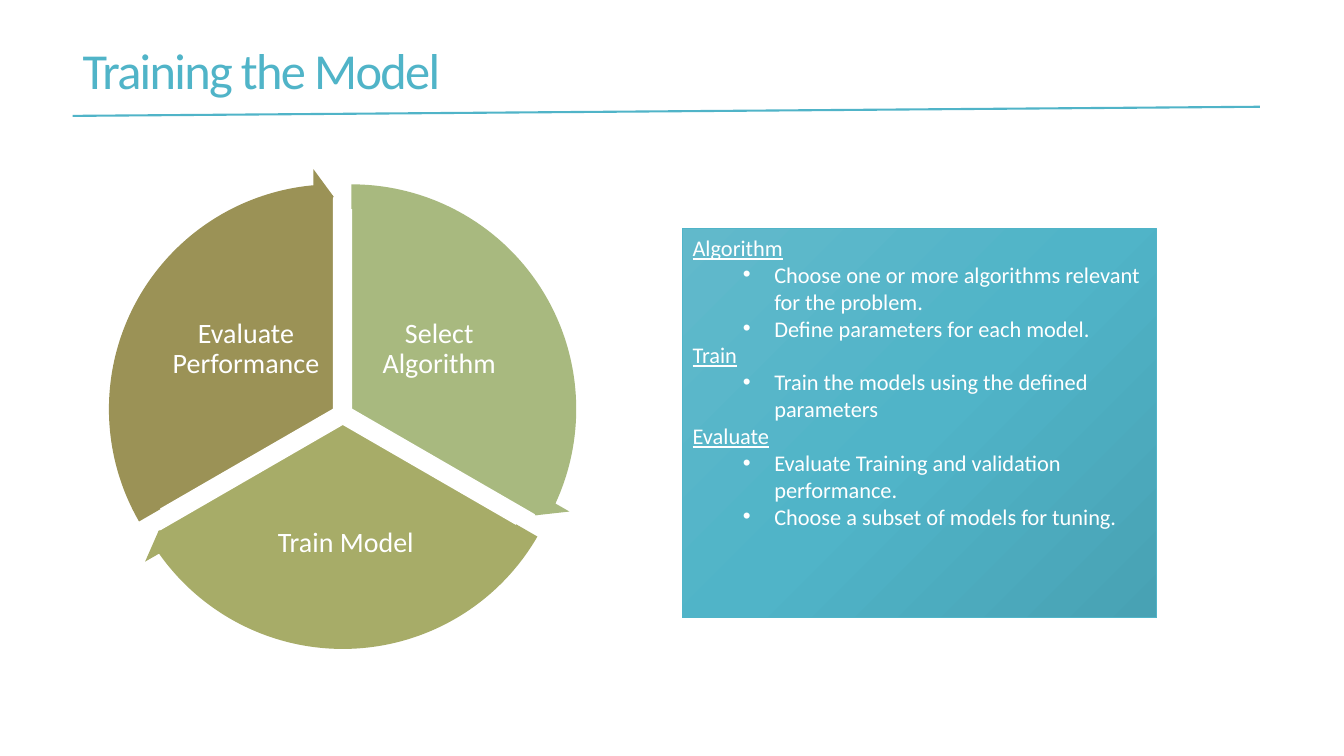
"""Build the slide on training the model: a three-step cycle beside a list of notes."""
from copy import deepcopy
from dataclasses import dataclass

from lxml.etree import SubElement
from pptx import Presentation
from pptx.dml.color import RGBColor
from pptx.enum.shapes import MSO_CONNECTOR, MSO_SHAPE
from pptx.enum.text import MSO_ANCHOR, MSO_AUTO_SIZE, PP_ALIGN
from pptx.oxml import parse_xml
from pptx.oxml.ns import nsdecls, qn
from pptx.util import Cm, Pt

COLORS = {
    "accent": "50B4C8",
    "accent_light": "61B9CB",
    "accent_dark": "48A2B4",
    "white": "FFFFFF",
    "select": "A8B97F",
    "train": "A7AC68",
    "evaluate": "9B9256",
}
FONT = "Calibri"
PIE_SIZE = 10.82
ARROW_MARGIN = 0.66
ARROW_THICKNESS = 0.051
ARROW_HEAD_ANGLE = 3.275
ARROW_HEAD_WIDTH = 0.059


@dataclass(frozen=True)
class Step:
    label: str
    color: str
    left: float
    top: float
    start: float
    end: float
    label_box: tuple[float, float, float, float]


@dataclass(frozen=True)
class Topic:
    heading: str
    points: tuple[str, ...]


STEPS = (
    Step("Select Algorithm", "select", 3.45, 4.9, 162, 18, (9.14, 7.19, 3.86, 3.23)),
    Step("Train Model", "train", 3.23, 5.28, 18, 90, (5.82, 12.29, 5.79, 2.82)),
    Step("Evaluate Performance", "evaluate", 3.0, 4.9, 90, 162, (4.27, 7.19, 3.86, 3.23)),
)
TOPICS = (
    Topic("Algorithm", (
        "Choose one or more algorithms relevant for the problem.",
        "Define parameters for each model.",
    )),
    Topic("Train", ("Train the models using the defined parameters",)),
    Topic("Evaluate", (
        "Evaluate Training and validation performance.",
        "Choose a subset of models for tuning.",
    )),
)
GRADIENT = ((0, "accent_light"), (0.5, "accent"), (1, "accent_dark"))


def rgb(name: str) -> RGBColor:
    """Return the named colour."""
    return RGBColor.from_string(COLORS[name])


def place(shape, left: float, top: float, width: float, height: float) -> None:
    """Move and size a shape, in centimetres."""
    shape.left, shape.top = Cm(left), Cm(top)
    shape.width, shape.height = Cm(width), Cm(height)


def style_font(para, size: float, color: str) -> None:
    """Set the font of a whole paragraph."""
    para.font.name = FONT
    para.font.size = Pt(size)
    para.font.color.rgb = rgb(color)


def fill_title(title) -> None:
    """Write and format the slide title."""
    place(title, 1.83, 0.61, 29.92, 2.51)
    frame = title.text_frame
    frame.text = "Training the Model"
    frame.word_wrap = True
    frame.auto_size = MSO_AUTO_SIZE.NONE
    frame.vertical_anchor = MSO_ANCHOR.MIDDLE
    para = frame.paragraphs[0]
    para.alignment = PP_ALIGN.LEFT
    para.line_spacing = 0.85
    style_font(para, 36, "accent")
    title.element.find(".//" + qn("a:defRPr")).set("spc", "-120")


def add_title_rule(page) -> None:
    """Draw the slightly rising line under the title."""
    rule = page.shapes.add_connector(
        MSO_CONNECTOR.STRAIGHT, Cm(1.83), Cm(2.92), Cm(31.75), Cm(2.69))
    rule.line.color.rgb = rgb("accent")
    rule.line.width = Pt(1.5)
    SubElement(rule.element.spPr, qn("a:effectLst"))


def add_cycle_shape(group, kind: MSO_SHAPE, step: Step, margin: float,
                    adjustments: tuple[float, ...]):
    """Add one filled shape of a step, grown by a margin around its pie."""
    size = Cm(PIE_SIZE + 2 * margin)
    shape = group.shapes.add_shape(
        kind, Cm(step.left - margin), Cm(step.top - margin), size, size)
    for index, value in enumerate(adjustments):
        shape.adjustments[index] = value
    shape.shadow.inherit = False
    shape.fill.solid()
    shape.fill.fore_color.rgb = rgb(step.color)
    return shape


def add_sector(group, step: Step) -> None:
    """Add the pie sector of a step and its label."""
    sector = add_cycle_shape(group, MSO_SHAPE.PIE, step, 0, (step.start, step.end))
    sector.line.color.rgb = rgb("white")
    sector.line.width = Pt(1)
    box = group.shapes.add_textbox(*(Cm(length) for length in step.label_box))
    frame = box.text_frame
    frame.text = step.label
    frame.word_wrap = True
    frame.vertical_anchor = MSO_ANCHOR.MIDDLE
    frame.margin_left = frame.margin_right = Cm(0.08)
    frame.margin_top = frame.margin_bottom = Cm(0.08)
    para = frame.paragraphs[0]
    para.alignment = PP_ALIGN.CENTER
    para.line_spacing = 0.9
    style_font(para, 20, "white")


def add_arrow(group, step: Step) -> None:
    """Add the circular arrow around a step."""
    arrow = add_cycle_shape(group, MSO_SHAPE.CIRCULAR_ARROW, step, ARROW_MARGIN, (
        ARROW_THICKNESS, ARROW_HEAD_ANGLE, step.end - ARROW_HEAD_ANGLE,
        step.start, ARROW_HEAD_WIDTH))
    arrow.line.fill.background()


def add_cycle(page) -> None:
    """Draw the sectors, then the arrows over them."""
    group = page.shapes.add_group_shape()
    for step in STEPS:
        add_sector(group, step)
    for step in STEPS:
        add_arrow(group, step)


def format_note(para, text: str, bulleted: bool) -> None:
    """Write a heading or a bulleted point."""
    para.text = text
    para.alignment = PP_ALIGN.LEFT
    para.level = int(bulleted)
    para.space_before = Pt(0)
    style_font(para, 16, "white")
    para.font.underline = not bulleted
    properties = para.font._element.getparent()
    properties.set("marL", str(Cm(2.06 if bulleted else 0)))
    properties.set("indent", str(Cm(-0.79 if bulleted else 0)))
    bullets = ('<a:buFont %s typeface="Arial"/>', '<a:buChar %s char="•"/>')
    for markup in bullets if bulleted else ("<a:buNone %s/>",):
        para.font._element.addprevious(parse_xml(markup % nsdecls("a")))


def fill_notes(panel) -> None:
    """Colour the notes panel and write its topics."""
    place(panel, 17.2, 5.77, 11.94, 9.8)
    panel.fill.gradient()
    stops = panel.element.find(".//" + qn("a:gsLst"))
    stops.append(deepcopy(stops[-1]))
    for stop, (position, color) in zip(panel.fill.gradient_stops, GRADIENT):
        stop.position = position
        stop.color.rgb = rgb(color)
    panel.fill.gradient_angle = 315
    panel.line.color.rgb = rgb("accent")
    panel.line.width = Pt(0.75)
    frame = panel.text_frame
    frame.word_wrap = True
    frame.auto_size = MSO_AUTO_SIZE.NONE
    frame.vertical_anchor = MSO_ANCHOR.TOP
    notes = [(text, text != topic.heading)
             for topic in TOPICS for text in (topic.heading, *topic.points)]
    for index, (text, bulleted) in enumerate(notes):
        para = frame.add_paragraph() if index else frame.paragraphs[0]
        format_note(para, text, bulleted)


def main() -> None:
    """Build and save the deck."""
    deck = Presentation()
    deck.slide_width, deck.slide_height = Cm(33.87), Cm(19.05)
    page = deck.slides.add_slide(deck.slide_layouts[1])
    fill_title(page.shapes.title)
    add_title_rule(page)
    add_cycle(page)
    fill_notes(page.placeholders[1])
    deck.save("out.pptx")


if __name__ == "__main__":
    main()
